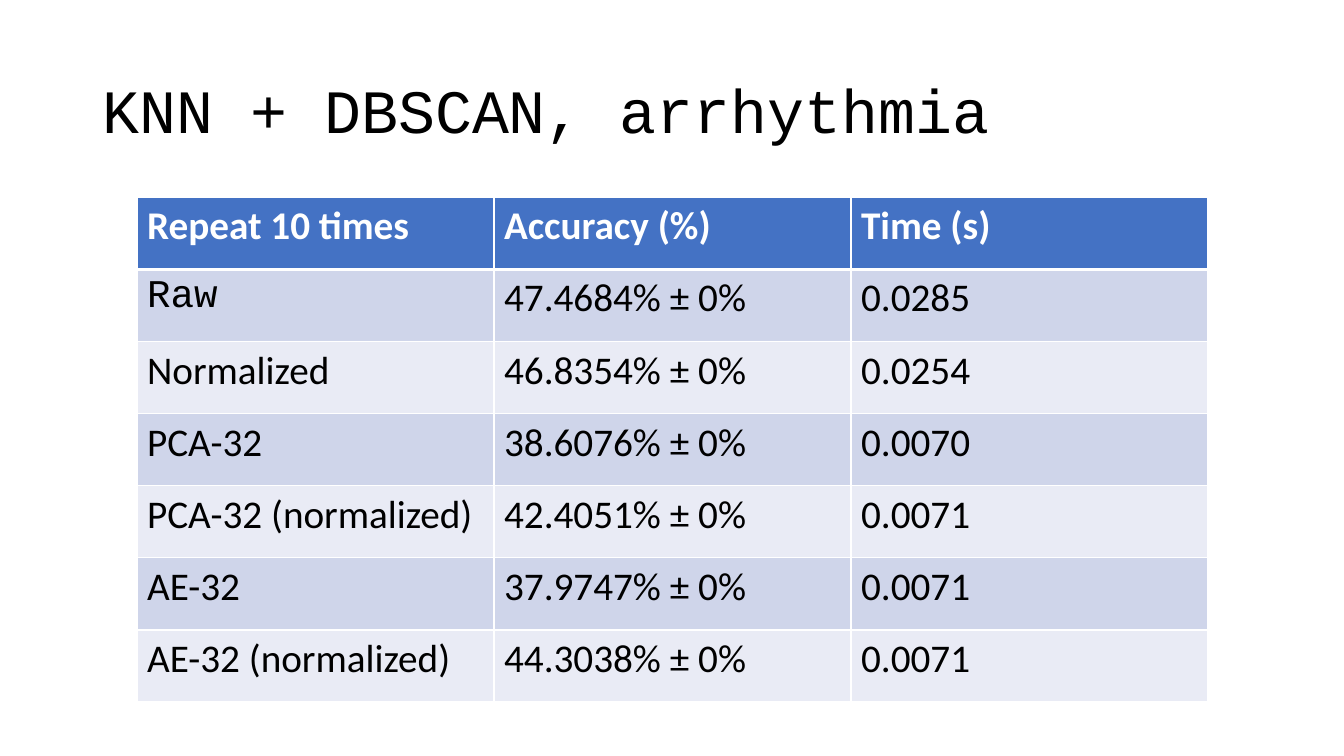
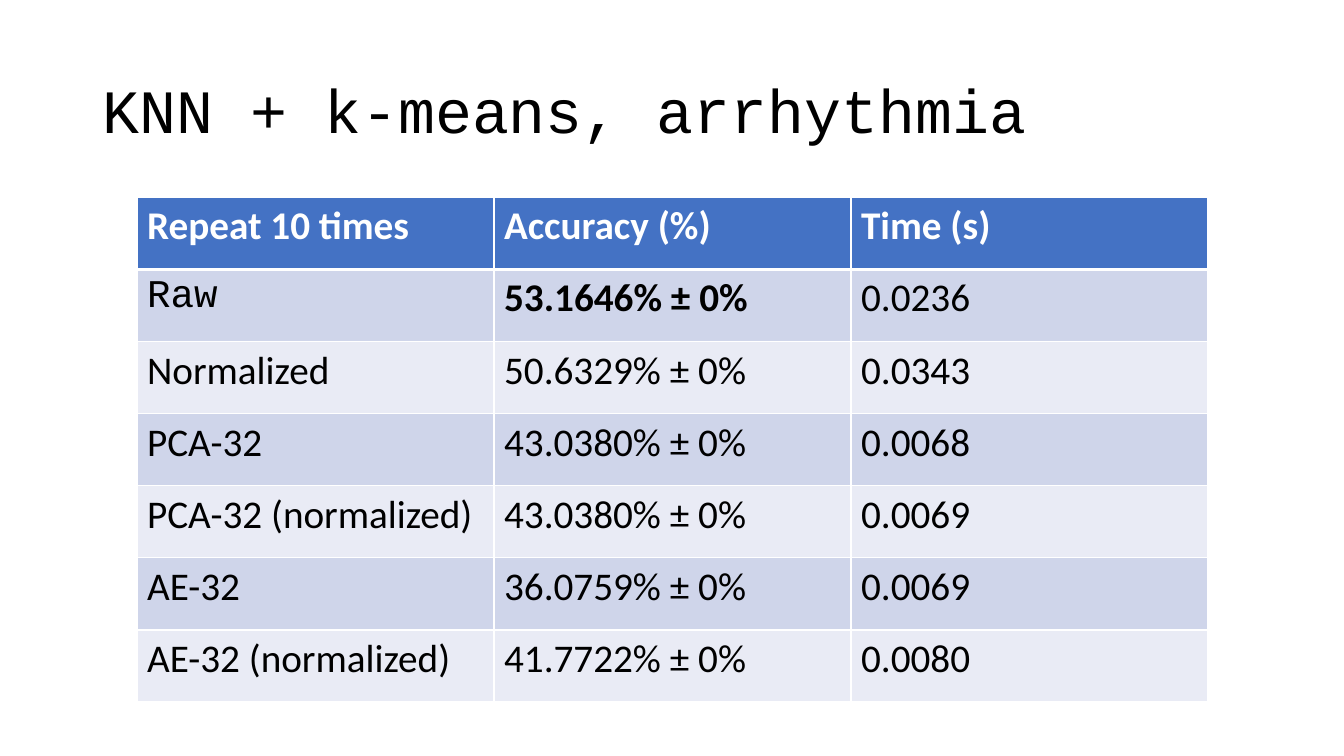
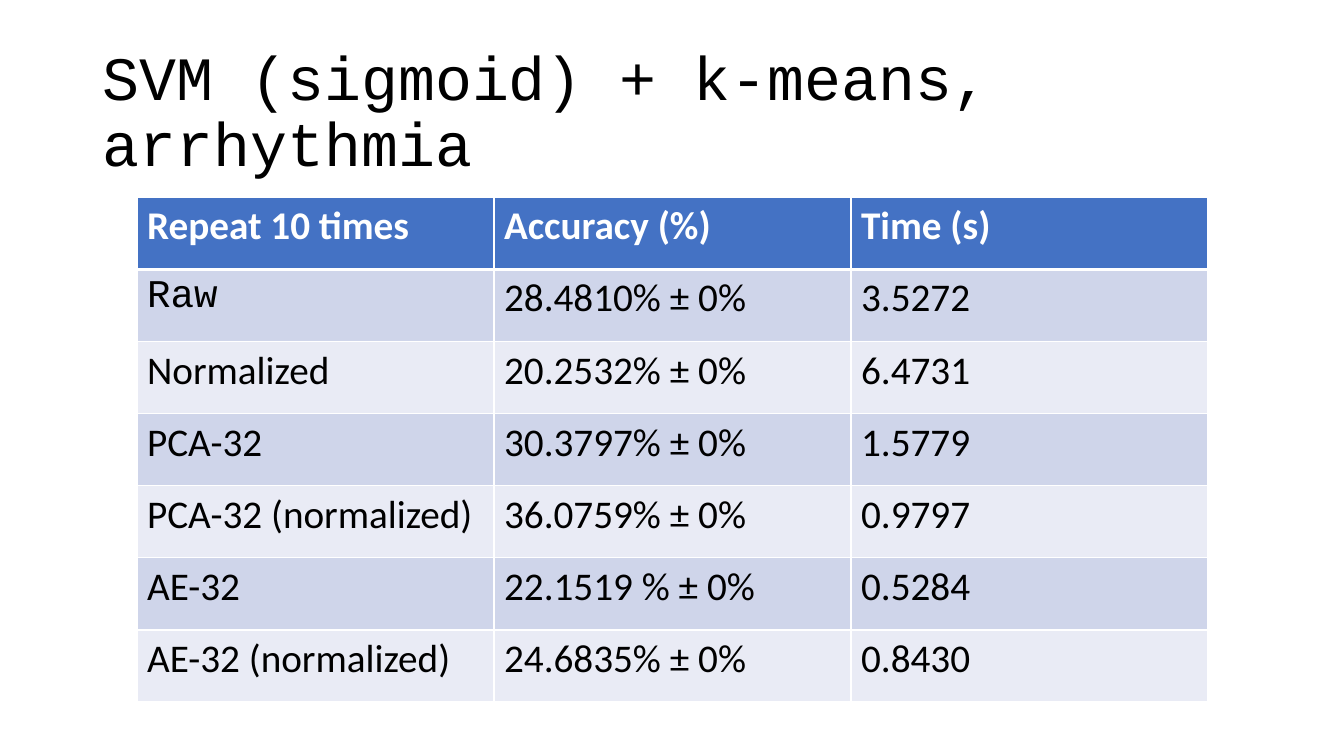
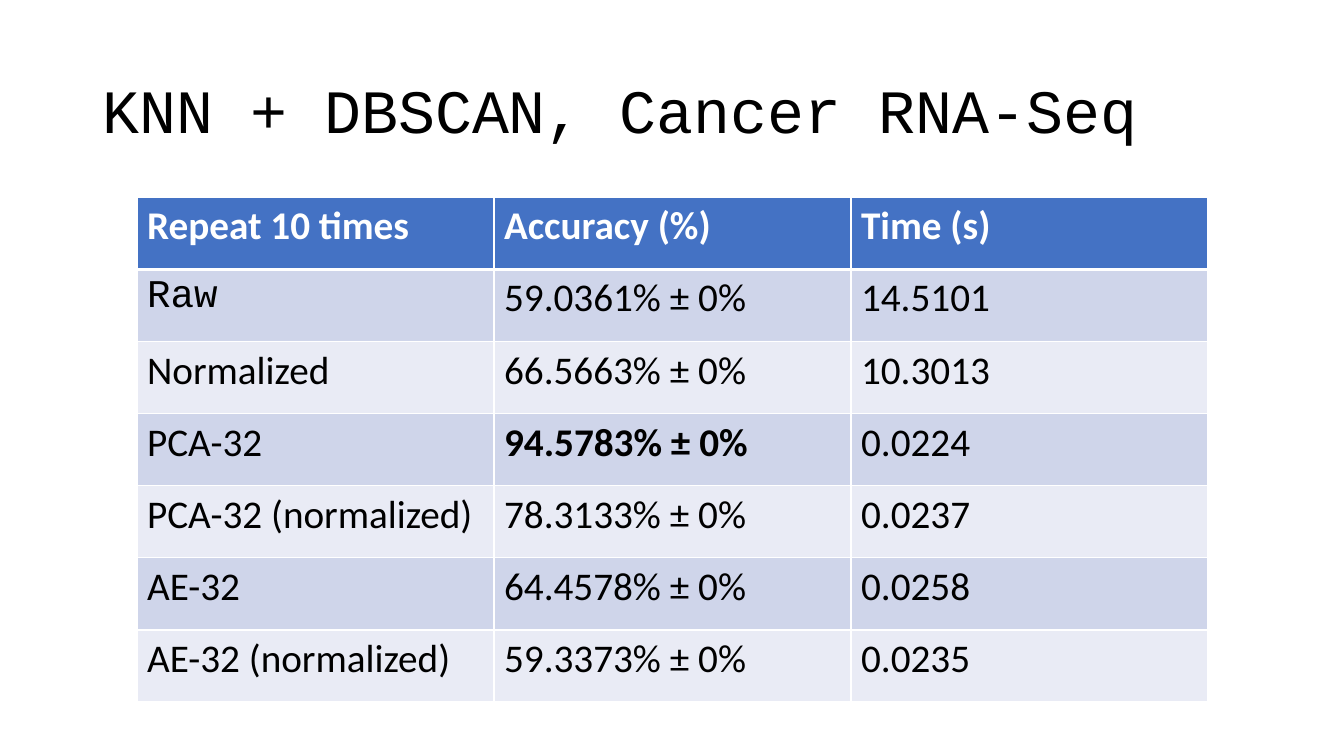
from lxml import etree
from pptx import Presentation
from pptx.dml.color import RGBColor
from pptx.enum.text import MSO_ANCHOR, MSO_AUTO_SIZE, PP_ALIGN
from pptx.oxml.ns import qn
from pptx.util import Pt

LEFT = PP_ALIGN.LEFT
MIDDLE = MSO_ANCHOR.MIDDLE
NO_AUTOFIT = MSO_AUTO_SIZE.NONE

# Shared style
WHITE = RGBColor(0xFF, 0xFF, 0xFF)
BLACK = RGBColor(0x00, 0x00, 0x00)
HEADER_BLUE = RGBColor(0x44, 0x72, 0xC4)
BAND_DARK = RGBColor(0xCF, 0xD5, 0xEA)
BAND_LIGHT = RGBColor(0xE9, 0xEB, 0xF5)
BODY_FONT = "Calibri"
MONO_FONT = "Courier New"
TITLE_ONLY = 5
THIN, THICK = 1, 3

# Table wording
HEADER = ("Repeat 10 times", "Accuracy (%)", "Time (s)")
METHODS = ("Raw", "Normalized", "PCA-32", "PCA-32 (normalized)",
           "AE-32", "AE-32 (normalized)")

# Title, accuracies, times, method shown in bold
RESULTS = (
    ("KNN + DBSCAN, arrhythmia",
     ("47.4684%", "46.8354%", "38.6076%", "42.4051%", "37.9747%", "44.3038%"),
     ("0.0285", "0.0254", "0.0070", "0.0071", "0.0071", "0.0071"), None),
    ("KNN + k-means, arrhythmia",
     ("53.1646%", "50.6329%", "43.0380%", "43.0380%", "36.0759%", "41.7722%"),
     ("0.0236", "0.0343", "0.0068", "0.0069", "0.0069", "0.0080"), "Raw"),
    ("SVM (sigmoid) + k-means, arrhythmia",
     ("28.4810%", "20.2532%", "30.3797%", "36.0759%", "22.1519 %", "24.6835%"),
     ("3.5272", "6.4731", "1.5779", "0.9797", "0.5284", "0.8430"), None),
    ("KNN + DBSCAN, Cancer RNA-Seq",
     ("59.0361%", "66.5663%", "94.5783%", "78.3133%", "64.4578%", "59.3373%"),
     ("14.5101", "10.3013", "0.0224", "0.0237", "0.0258", "0.0235"), "PCA-32"),
)


def write_text(frame, text, font=BODY_FONT, size=28, color=BLACK, bold=False,
               line_spacing=None):
    paragraph = frame.paragraphs[0]
    paragraph.alignment = LEFT
    paragraph.line_spacing = line_spacing
    run = paragraph.add_run()
    run.text = text
    run.font.name = font
    run.font.size = Pt(size)
    run.font.bold = bold
    run.font.color.rgb = color


def add_borders(cell, top, bottom):
    properties = cell._tc.get_or_add_tcPr()
    widths = {"a:lnL": THIN, "a:lnR": THIN, "a:lnT": top, "a:lnB": bottom}
    for tag, width in widths.items():
        line = etree.SubElement(properties, qn(tag), w=str(Pt(width)))
        fill = etree.SubElement(line, qn("a:solidFill"))
        etree.SubElement(fill, qn("a:srgbClr"), val=str(WHITE))


class Deck:
    def __init__(self):
        self.presentation = Presentation()
        self.presentation.slide_width = Pt(960)
        self.presentation.slide_height = Pt(540)
        self.slide = None

    def add_slide(self, title):
        layout = self.presentation.slide_layouts[TITLE_ONLY]
        self.slide = self.presentation.slides.add_slide(layout)
        shape = self.slide.shapes.title
        shape.left, shape.top = Pt(66), Pt(28.75)
        shape.width, shape.height = Pt(828), Pt(104.4)
        frame = shape.text_frame
        frame.word_wrap = True
        frame.auto_size = NO_AUTOFIT
        frame.vertical_anchor = MIDDLE
        write_text(frame, title, font=MONO_FONT, size=44, line_spacing=0.9)

    def add_table(self, rows, bold_method):
        shape = self.slide.shapes.add_table(
            len(rows), len(HEADER), Pt(97.9), Pt(141.1), Pt(765), Pt(360.5))
        table = shape.table
        for row_index, row in enumerate(rows):
            for column_index, text in enumerate(row):
                is_header = row_index == 0
                is_best = column_index == 1 and row[0] == bold_method
                cell = table.cell(row_index, column_index)
                add_borders(cell, top=THICK if row_index == 1 else THIN,
                            bottom=THICK if is_header else THIN)
                cell.fill.solid()
                band = BAND_DARK if row_index % 2 else BAND_LIGHT
                cell.fill.fore_color.rgb = HEADER_BLUE if is_header else band
                write_text(cell.text_frame, text,
                           font=MONO_FONT if text == "Raw" else BODY_FONT,
                           color=WHITE if is_header else BLACK,
                           bold=is_header or is_best)


# Build one slide per experiment
deck = Deck()
for title, accuracies, times, bold_method in RESULTS:
    deck.add_slide(title)
    spreads = [f"{accuracy} ± 0%" for accuracy in accuracies]
    deck.add_table([HEADER, *zip(METHODS, spreads, times)], bold_method)
deck.presentation.save("out.pptx")
